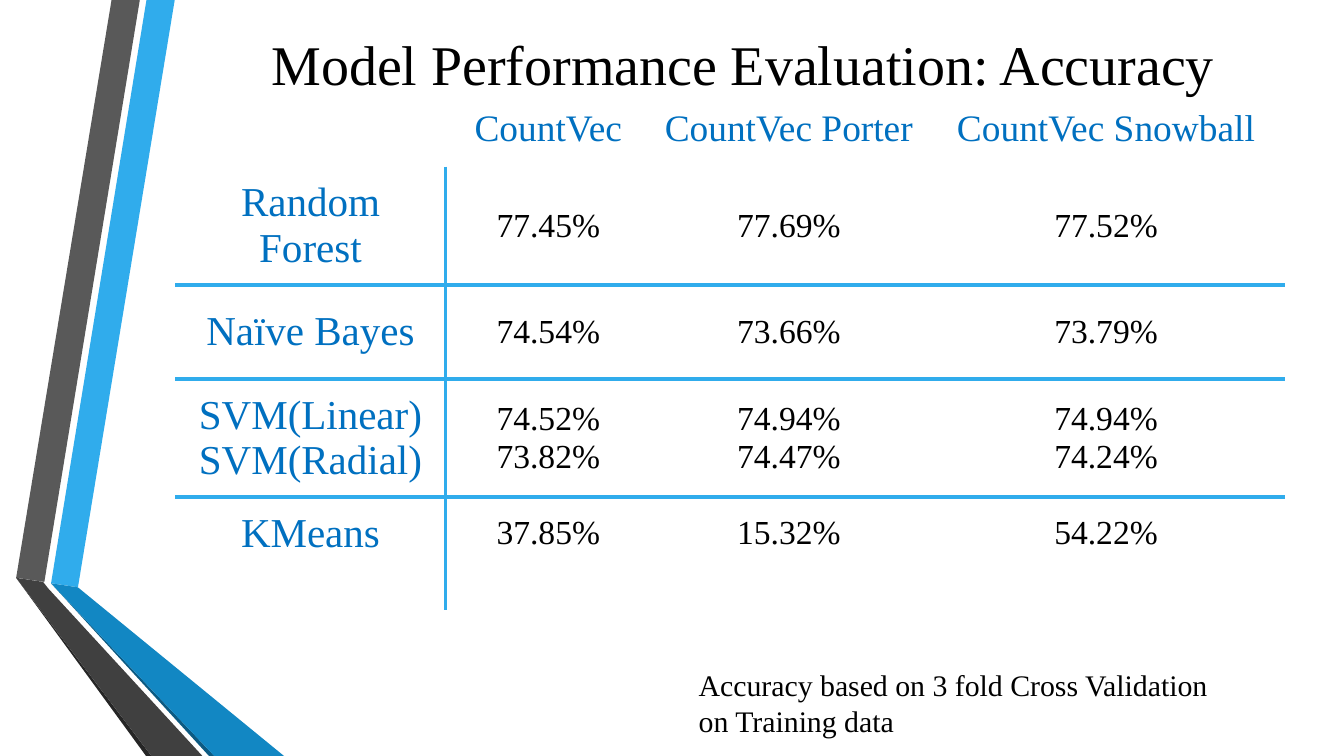
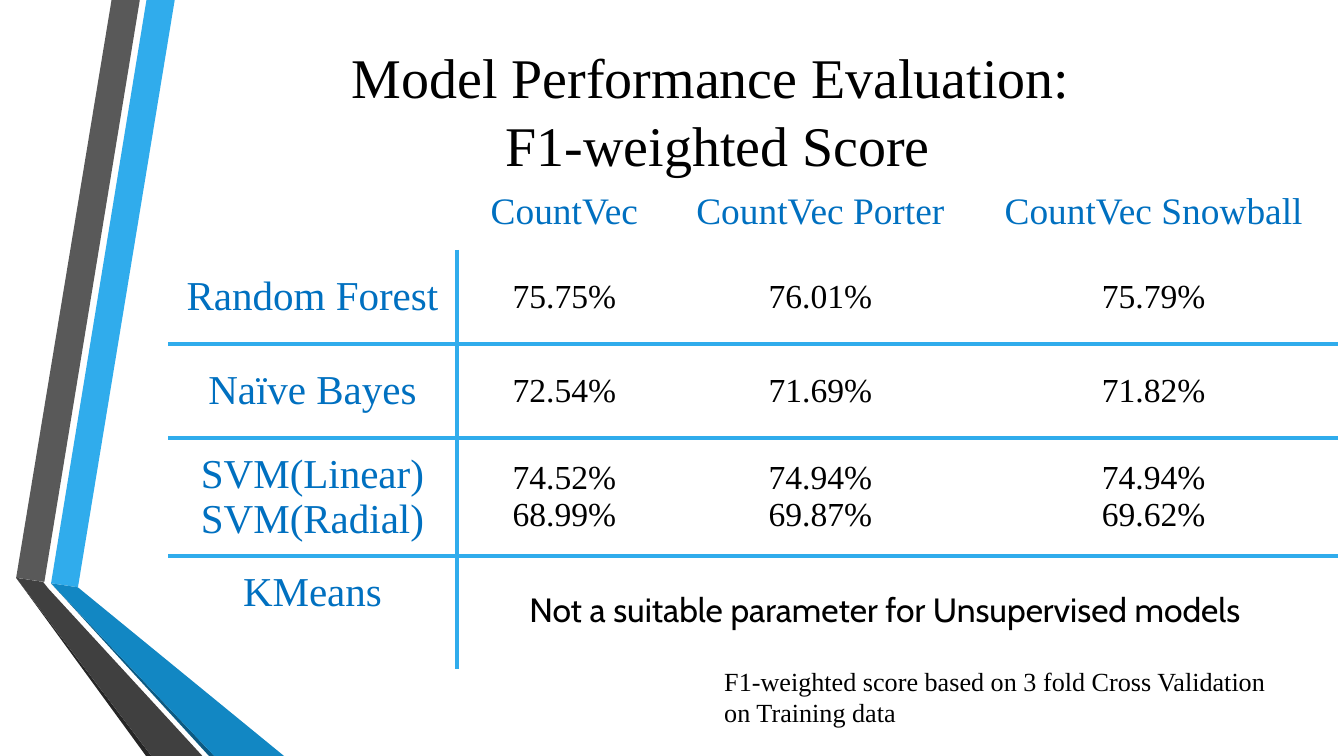
from dataclasses import dataclass

from lxml.etree import SubElement
from pptx import Presentation
from pptx.dml.color import RGBColor
from pptx.enum.text import MSO_ANCHOR as Anchor, MSO_AUTO_SIZE as AutoSize, PP_ALIGN as Align
from pptx.oxml import parse_xml
from pptx.oxml.ns import nsdecls, qn
from pptx.util import Inches, Pt


@dataclass(frozen=True)
class Theme:
    ink: str = "000000"
    label: str = "0070C0"
    rule: str = "30ACEC"
    serif: str = "Times New Roman"
    sans: str = "Cabin"
    title: int = 30
    column_head: int = 20
    row_head: int = 22
    body: int = 18
    rule_width: float = 2.25


THEME = Theme()
WIDTH = Inches(10)
HEIGHT = WIDTH * 9 // 16
INSET = Inches(0.1)
PLAIN_TABLE = "{2D5ABB26-0587-4C30-8999-92F81FD0307C}"

BANDS = [
    ("30ACEC", [(38, 434), (58, 437), (130, 0), (109, 0)]),
    ("595959", [(104, 0), (83, 0), (12, 430), (33, 433)]),
    ("262626", [(12, 430), (109, 563), (113, 563)]),
    ("0C5A82", [(38, 434), (156, 563), (160, 563)]),
    ("1287C3", [(38, 434), (160, 563), (212, 563), (58, 437)]),
    ("404040", [(151, 563), (36, 438), (32, 433), (12, 430), (113, 563)]),
]

COLUMN_HEADS = ["", "CountVec", "CountVec Porter", "CountVec Snowball"]
ROW_HEADS = ["Random Forest", "Naïve Bayes", "SVM(Linear)\nSVM(Radial)", "KMeans"]

ACCURACY = [
    ["77.45%", "77.69%", "77.52%"],
    ["74.54%", "73.66%", "73.79%"],
    ["74.52%\n73.82%", "74.94%\n74.47%", "74.94%\n74.24%"],
    ["37.85%", "15.32%", "54.22%"],
]
F1_SCORE = [
    ["75.75%", "76.01%", "75.79%"],
    ["72.54%", "71.69%", "71.82%"],
    ["74.52%\n68.99%", "74.94%\n69.87%", "74.94%\n69.62%"],
    ["", "", ""],
]


def share(left, top, width, height):
    return (int(WIDTH * left / 100), int(HEIGHT * top / 100),
            int(WIDTH * width / 100), int(HEIGHT * height / 100))


def place(shape, box):
    shape.left, shape.top, shape.width, shape.height = box


def set_insets(holder):
    holder.margin_left = holder.margin_right = INSET
    holder.margin_top = holder.margin_bottom = INSET


def write(frame, text, size, color=THEME.ink, font=THEME.serif, align=Align.LEFT):
    frame.text = text
    for para in frame.paragraphs:
        para.alignment = align
        for span in para.runs:
            span.font.name = font
            span.font.size = Pt(size)
            span.font.color.rgb = RGBColor.from_string(color)


def draw_bands(page, layout):
    for number, (color, points) in enumerate(BANDS, start=100):
        builder = page.shapes.build_freeform(*points[0], scale=Inches(0.01))
        builder.add_line_segments(points[1:], close=True)
        band = builder.convert_to_shape()
        band.shadow.inherit = False
        band.fill.solid()
        band.fill.fore_color.rgb = RGBColor.from_string(color)
        band.line.fill.background()
        band.element.xpath(".//p:cNvPr")[0].set("id", str(number))
        layout.shapes.element.append(band.element)


def add_title(page, text, box):
    title = page.shapes.title
    place(title, box)
    frame = title.text_frame
    set_insets(frame)
    frame.auto_size = AutoSize.NONE
    frame.vertical_anchor = Anchor.TOP
    write(frame, text, THEME.title, align=Align.CENTER)
    frame.paragraphs[0].line_spacing = 1.0


def add_note(page, text, box, size, font=THEME.serif):
    note = page.shapes.add_textbox(*box)
    frame = note.text_frame
    frame.word_wrap = True
    frame.auto_size = AutoSize.SHAPE_TO_FIT_TEXT
    write(frame, text, size, font=font)


def rule_cell(cell, edges):
    properties = cell._tc.get_or_add_tcPr()
    for position, (side, shown) in enumerate(edges.items()):
        line = parse_xml(f'<a:ln{side} {nsdecls("a")}/>')
        if shown:
            line.set("w", str(Pt(THEME.rule_width)))
            fill = SubElement(line, qn("a:solidFill"))
            SubElement(fill, qn("a:srgbClr"), val=THEME.rule)
        else:
            SubElement(line, qn("a:noFill"))
        properties.insert(position, line)


def add_scores(page, scores, box, columns, rows):
    grid = [COLUMN_HEADS] + [[head, *values] for head, values in zip(ROW_HEADS, scores)]
    last = len(grid) - 1
    holder = page.shapes.add_table(len(grid), len(columns), *box)
    holder.element.xpath(".//a:tableStyleId")[0].text = PLAIN_TABLE
    table = holder.table
    table.first_row = table.horz_banding = False
    for column, weight in zip(table.columns, columns):
        column.width = int(box[2] * weight / sum(columns))
    for row, weight in zip(table.rows, rows):
        row.height = int(box[3] * weight / sum(rows))
    for y, values in enumerate(grid):
        for x, text in enumerate(values):
            cell = table.cell(y, x)
            set_insets(cell)
            cell.vertical_anchor = Anchor.MIDDLE
            if y == last:
                cell.margin_bottom = Inches(0.4)
            if y == 0:
                size, color = THEME.column_head, THEME.label
            elif x == 0:
                size, color = THEME.row_head, THEME.label
            else:
                size, color = THEME.body, THEME.ink
            write(cell.text_frame, text, size, color, align=Align.CENTER)
            cell.fill.background()
            rule_cell(cell, {"L": y > 0 and x == 1, "R": y > 0 and x == 0,
                             "T": y > 1, "B": 0 < y < last})


def accuracy_page(page):
    add_title(page, "Model Performance Evaluation: Accuracy", share(13.1, 2.13, 84.4, 11.2))
    add_scores(page, ACCURACY, share(13.05, 12.1, 82.6, 68.6),
               (2.01, 1.53, 2.05, 2.67), (0.56, 0.88, 0.7, 0.88, 0.84))
    add_note(page, "Accuracy based on 3 fold Cross Validation on Training data",
             share(51, 87.3, 42.5, 11.4), 16)


def f1_page(page):
    add_title(page, "Model Performance Evaluation:\v F1-weighted Score",
              share(10.7, 3.91, 84.4, 11.2))
    add_scores(page, F1_SCORE, share(12.5, 23.1, 87.1, 65.4),
               (2.15, 1.6, 2.21, 2.75), (0.56, 0.7, 0.7, 0.88, 0.84))
    add_note(page, "Not a suitable parameter for Unsupervised models",
             share(38.4, 77, 54.9, 7.1), THEME.body, THEME.sans)
    add_note(page, "F1-weighted score based on 3 fold Cross Validation on Training data",
             share(52.9, 87.1, 42.5, 10.1), 14)


def main():
    deck = Presentation()
    deck.slide_width, deck.slide_height = WIDTH, HEIGHT
    title_style = deck.slide_master.element.xpath(".//p:titleStyle/a:lvl1pPr/a:defRPr")[0]
    title_style.set("sz", str(THEME.title * 100))
    layout = deck.slide_layouts[5]
    pages = [deck.slides.add_slide(layout) for _ in range(2)]
    draw_bands(pages[0], layout)
    accuracy_page(pages[0])
    f1_page(pages[1])
    deck.save("out.pptx")


if __name__ == "__main__":
    main()
